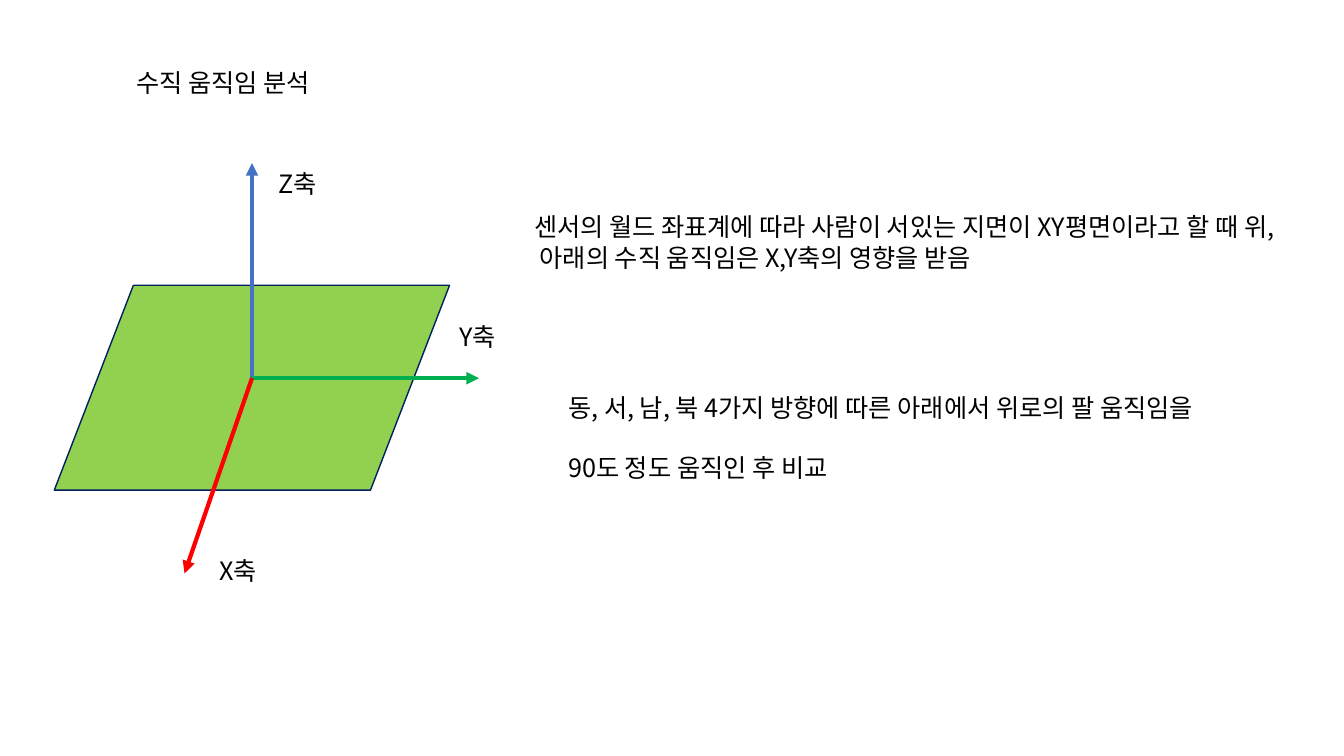
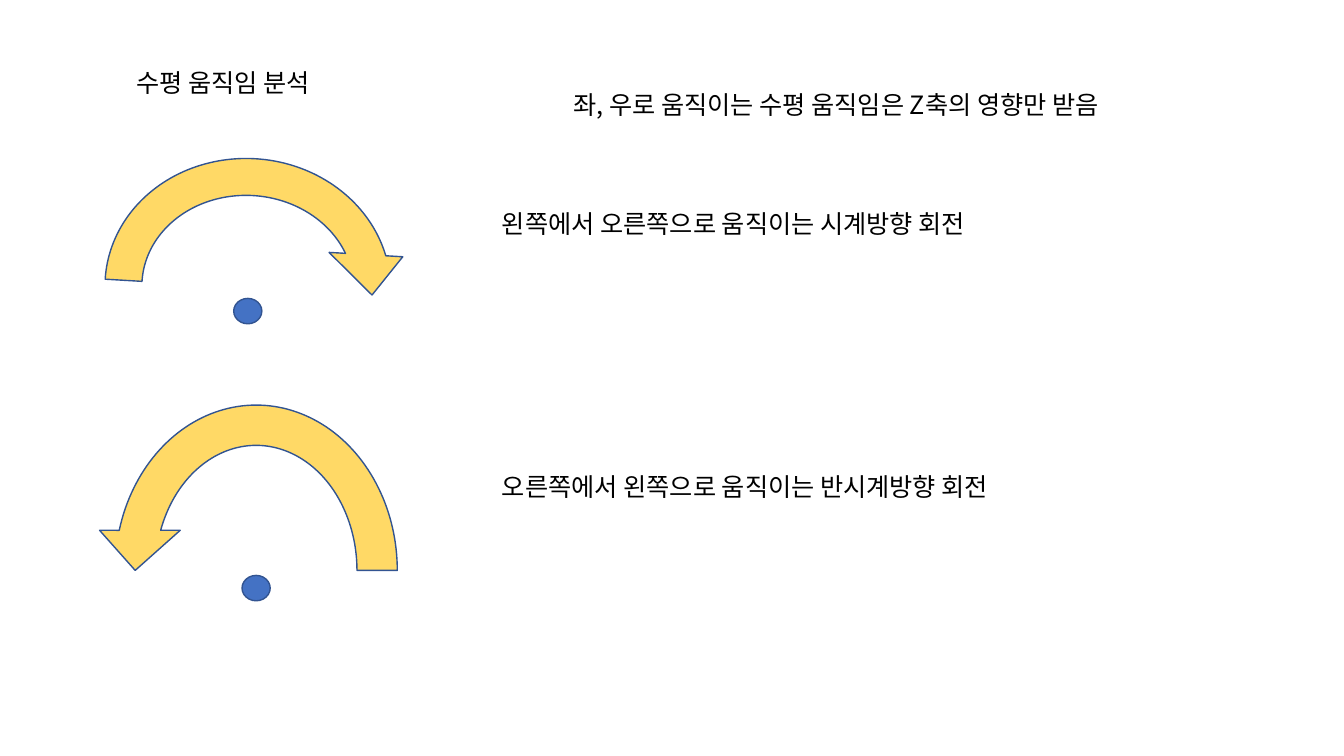
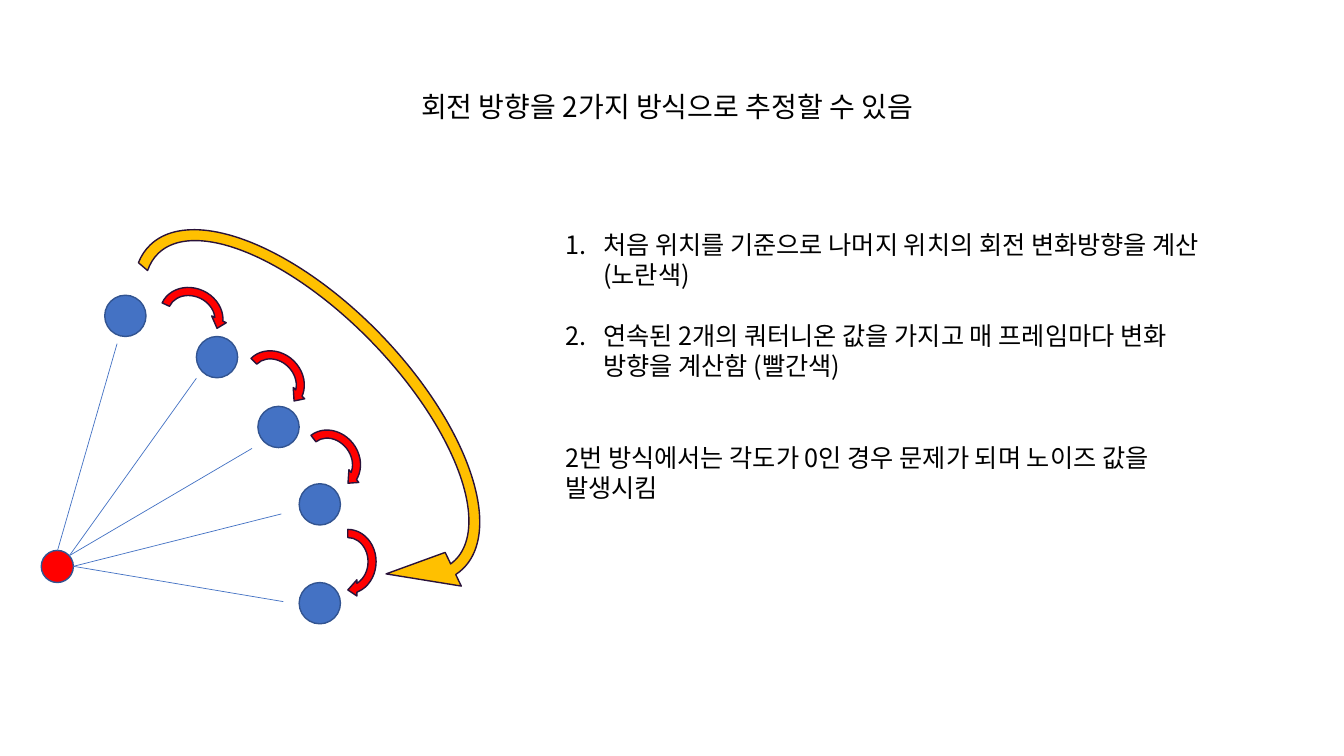
"""Build three slides that explain vertical, horizontal and rotational arm movement."""
from pptx import Presentation
from pptx.dml.color import RGBColor
from pptx.enum.shapes import MSO_CONNECTOR, MSO_SHAPE
from pptx.enum.text import MSO_ANCHOR, MSO_AUTO_SIZE, PP_ALIGN
from pptx.oxml.ns import qn
from pptx.util import Cm, Pt
from lxml.etree import SubElement

FONT = "Noto Sans CJK KR"
BLACK = RGBColor(0x00, 0x00, 0x00)
BLUE = RGBColor(0x44, 0x72, 0xC4)
DARK_BLUE = RGBColor(0x32, 0x54, 0x91)
NAVY = RGBColor(0x00, 0x20, 0x60)
PURPLE = RGBColor(0x29, 0x12, 0x3A)
LIGHT_GREEN = RGBColor(0x92, 0xD0, 0x50)
GREEN = RGBColor(0x00, 0xB0, 0x50)
RED = RGBColor(0xFF, 0x00, 0x00)
YELLOW = RGBColor(0xFF, 0xD9, 0x66)
GOLD = RGBColor(0xFF, 0xC0, 0x00)


def write_text(shape, box, lines, size=18, numbered=False):
    """Place a text shape and fill it with one paragraph per line."""
    shape.left, shape.top, shape.width, shape.height = map(Cm, box)
    frame = shape.text_frame
    frame.word_wrap = True
    frame.auto_size = MSO_AUTO_SIZE.NONE
    frame.vertical_anchor = MSO_ANCHOR.TOP
    frame.text = "\n".join(lines)
    for index, paragraph in enumerate(frame.paragraphs):
        properties = paragraph._p.get_or_add_pPr()
        if numbered:
            properties.set("marL", str(Cm(0.95)))
            properties.set("indent", str(-Cm(0.95)))
            SubElement(properties, qn("a:buAutoNum"), type="arabicPeriod")
        paragraph.alignment = PP_ALIGN.LEFT
        if index:
            paragraph.space_before = Pt(21.6)
        paragraph.font.name = FONT
        paragraph.font.size = Pt(size)
        paragraph.font.color.rgb = BLACK
        SubElement(properties.find(qn("a:defRPr")), qn("a:ea"), typeface=FONT)


def add_figure(slide, kind, box, fill, outline, rotation=0):
    """Add a filled preset shape with a thin outline."""
    shape = slide.shapes.add_shape(kind, *map(Cm, box))
    shape.shadow.inherit = False
    shape.fill.solid()
    shape.fill.fore_color.rgb = fill
    shape.line.color.rgb = outline
    shape.line.width = Pt(1)
    shape.rotation = rotation
    return shape


presentation = Presentation()
presentation.slide_width = Cm(33.87)
presentation.slide_height = Cm(19.05)

slides = []
for title, box, size in [
    ("수직 움직임 분석", (3.18, 1.57, 10.52, 1.02), 18),
    ("수평 움직임 분석", (3.18, 1.57, 10.52, 1.02), 18),
    ("회전 방향을 2가지 방식으로 추정할 수 있음", (10.36, 2.13, 14.88, 1.12), 20),
]:
    slide = presentation.slides.add_slide(presentation.slide_layouts[5])
    write_text(slide.shapes.title, box, [title], size)
    slides.append(slide)
vertical, horizontal, rotation_slide = slides

add_figure(vertical, MSO_SHAPE.FLOWCHART_DATA, (1.37, 7.19, 9.96, 5.16), LIGHT_GREEN, NAVY)

clockwise_box = (2.18, 3.53, 8.13, 7.44)
counterclockwise_box = (2.39, 9.7, 8.13, 9.35)
add_figure(horizontal, MSO_SHAPE.CIRCULAR_ARROW, clockwise_box, YELLOW, DARK_BLUE, 3.4)
counterclockwise = add_figure(
    horizontal, MSO_SHAPE.CIRCULAR_ARROW, counterclockwise_box, YELLOW, DARK_BLUE, 180)
counterclockwise._element.spPr.find(qn("a:xfrm")).set("flipV", "1")
for left, top in [(5.89, 7.52), (6.1, 14.5)]:
    add_figure(horizontal, MSO_SHAPE.FLOWCHART_CONNECTOR, (left, top, 0.71, 0.64), BLUE, DARK_BLUE)

for left, top in [(2.64, 7.44), (4.95, 8.48), (6.5, 10.24), (7.54, 12.19), (7.54, 14.68)]:
    add_figure(rotation_slide, MSO_SHAPE.OVAL, (left, top, 1.04, 1.04), BLUE, DARK_BLUE)
for left, top, angle in [
    (3.91, 7.16, 24.9), (5.99, 8.79, 44.7), (7.42, 10.8, 52.3), (7.85, 13.34, 90),
]:
    add_figure(rotation_slide, MSO_SHAPE.CIRCULAR_ARROW, (left, top, 1.83, 1.63), RED, PURPLE, angle)
add_figure(rotation_slide, MSO_SHAPE.OVAL, (1.04, 13.87, 0.81, 0.81), RED, DARK_BLUE)
total_turn = add_figure(
    rotation_slide, MSO_SHAPE.CIRCULAR_ARROW, (1.73, 7.32, 11.99, 5.87), GOLD, PURPLE, 46)
for index, value in enumerate([0.05, 9.96, 1.14, 104.77, 0.08]):
    total_turn.adjustments[index] = value

origin = (6.35, 9.53)
for slide, start, end, color, width, has_arrow in [
    (vertical, origin, (6.35, 4.11), BLUE, 3, True),
    (vertical, origin, (12.07, 9.53), GREEN, 3, True),
    (vertical, origin, (4.65, 14.45), RED, 3, True),
    (rotation_slide, (2.95, 8.66), (1.45, 13.87), BLUE, 0.5, False),
    (rotation_slide, (4.95, 9.53), (1.75, 14), BLUE, 0.5, False),
    (rotation_slide, (6.35, 11.3), (1.75, 14), BLUE, 0.5, False),
    (rotation_slide, (7.09, 12.95), (1.85, 14.27), BLUE, 0.5, False),
    (rotation_slide, (7.14, 15.16), (1.85, 14.27), BLUE, 0.5, False),
]:
    connector = slide.shapes.add_connector(MSO_CONNECTOR.STRAIGHT, *map(Cm, start + end))
    connector.line.color.rgb = color
    connector.line.width = Pt(width)
    properties = connector._element.spPr
    if has_arrow:
        SubElement(properties.find(qn("a:ln")), qn("a:tailEnd"), type="triangle")
    SubElement(properties, qn("a:effectLst"))

for slide, box, lines, numbered in [
    (vertical, (5.28, 13.87, 1.8, 1.02), ["X축"], False),
    (vertical, (11.33, 7.98, 1.8, 1.02), ["Y축"], False),
    (vertical, (6.76, 4.11, 1.8, 1.02), ["Z축"], False),
    (vertical, (13.21, 5.21, 19.05, 1.8), [
        "센서의 월드 좌표계에 따라 사람이 서있는 지면이 XY평면이라고 할 때 "
        "위, 아래의 수직 움직임은 X,Y축의 영향을 받음"], False),
    (vertical, (14.07, 9.75, 18.44, 2.57), [
        "동, 서, 남, 북 4가지 방향에 따른 아래에서 위로의 팔 움직임을",
        "90도 정도 움직인 후 비교"], False),
    (horizontal, (12.4, 5.13, 14.27, 1.02), ["왼쪽에서 오른쪽으로 움직이는 시계방향 회전"], False),
    (horizontal, (12.4, 11.76, 14.27, 1.02), ["오른쪽에서 왼쪽으로 움직이는 반시계방향 회전"], False),
    (horizontal, (14.2, 2.13, 15.88, 1.02), ["좌, 우로 움직이는 수평 움직임은 Z축의 영향만 받음"], False),
    (rotation_slide, (14, 5.66, 17.09, 4.11), [
        "처음 위치를 기준으로 나머지 위치의 회전 변화방향을 계산 (노란색)",
        "연속된 2개의 쿼터니온 값을 가지고 매 프레임마다 변화 방향을 계산함 (빨간색)"], True),
    (rotation_slide, (14, 11.02, 17.09, 1.8), [
        "2번 방식에서는 각도가 0인 경우 문제가 되며 노이즈 값을 발생시킴"], False),
]:
    write_text(slide.shapes.add_textbox(0, 0, 0, 0), box, lines, numbered=numbered)

presentation.save("out.pptx")
